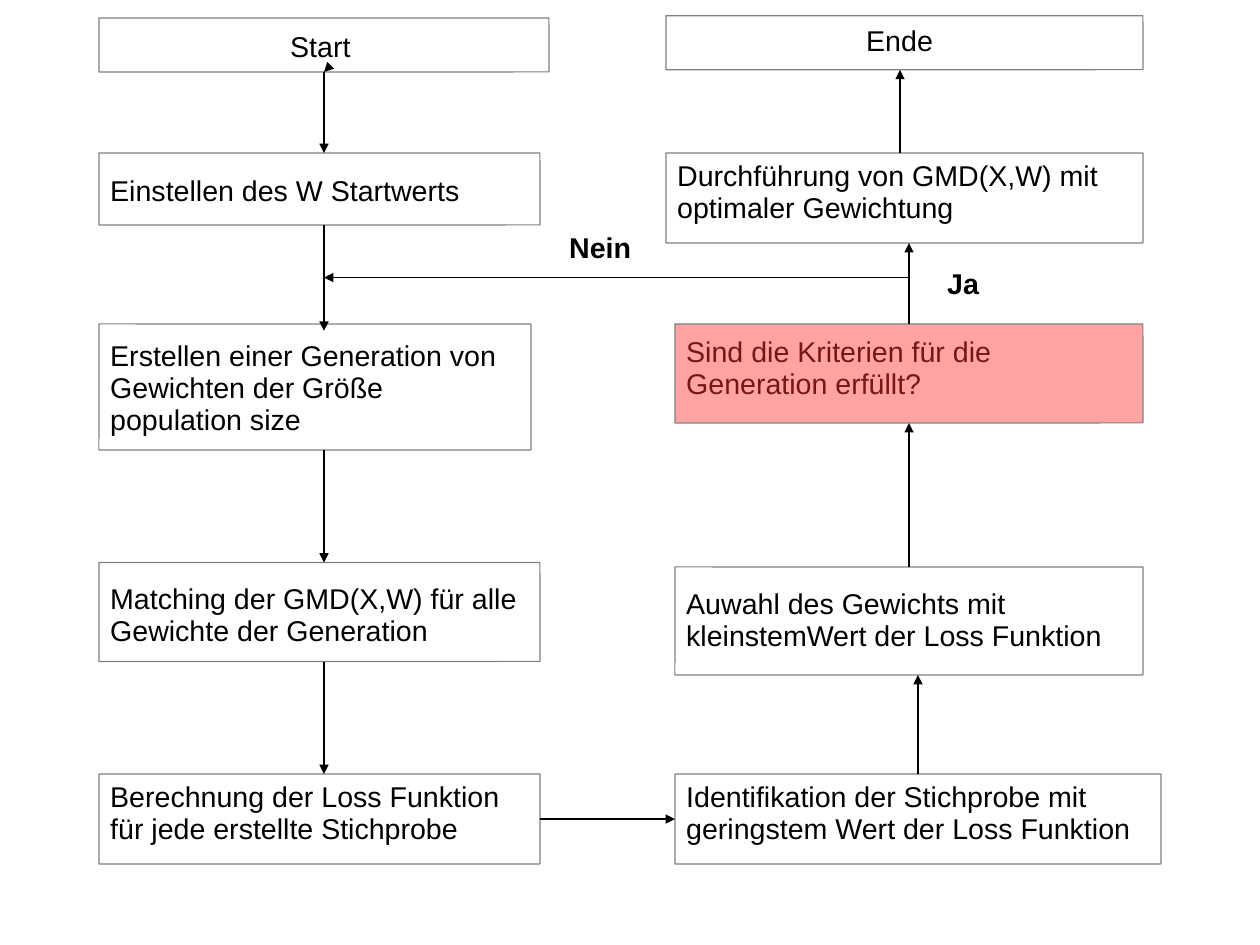
from dataclasses import dataclass

from lxml import etree
from pptx import Presentation
from pptx import util as u
from pptx.dml.color import RGBColor
from pptx.enum import shapes
from pptx.oxml.ns import qn


@dataclass(frozen=True)
class Theme:
    font: str = "Arial"
    size: float = 18
    line_width: float = 0.75
    line_spacing: float = 0.93
    ink: str = "000000"
    border: str = "808080"
    decision: str = "FF3333"
    decision_alpha: int = 45000


class FlowChart:
    """Draws on one slide; all lengths are in centimetres."""

    def __init__(self, s, theme):
        self.s, self.theme = s, theme

    def text(self, words, x, y, w, h, bold=False):
        sp = self.s.shapes.add_textbox(u.Cm(x), u.Cm(y), u.Cm(w), u.Cm(h))
        tf = sp.text_frame
        tf.word_wrap = True
        tf.margin_left = tf.margin_right = u.Cm(0.25)
        tf.margin_top, tf.margin_bottom = u.Cm(0.18), u.Cm(0.13)
        p = tf.paragraphs[0]
        p.text = words
        p.line_spacing = self.theme.line_spacing
        p.font.name, p.font.size = self.theme.font, u.Pt(self.theme.size)
        p.font.bold = bold
        p.font.color.rgb = RGBColor.from_string(self.theme.ink)

    def box(self, x, y, w, h, decision=False):
        sp = self.s.shapes.add_shape(shapes.MSO_SHAPE.ROUNDED_RECTANGLE,
                                     u.Cm(x), u.Cm(y), u.Cm(w), u.Cm(h))
        sp.adjustments[0] = 0.002
        sp.shadow.inherit = False
        sp.line.color.rgb = RGBColor.from_string(self.theme.border)
        sp.line.width = u.Pt(self.theme.line_width)
        if not decision:
            sp.fill.background()
            return
        sp.fill.solid()
        sp.fill.fore_color.rgb = RGBColor.from_string(self.theme.decision)
        color = sp.fill._xPr.find(".//" + qn("a:srgbClr"))
        etree.SubElement(color, qn("a:alpha"), val=str(self.theme.decision_alpha))

    def arrow(self, x1, y1, x2, y2, kind=shapes.MSO_CONNECTOR.STRAIGHT):
        c = self.s.shapes.add_connector(kind, u.Cm(x1), u.Cm(y1), u.Cm(x2), u.Cm(y2))
        c.line.color.rgb = RGBColor.from_string(self.theme.ink)
        c.line.width = u.Pt(self.theme.line_width)
        etree.SubElement(c.line._get_or_add_ln(), qn("a:tailEnd"), type="triangle")
        etree.SubElement(c._element.spPr, qn("a:effectLst"))
        return c

    def up_then_left(self, x1, y1, x2, y2):
        # One-bend connector: a quarter turn swaps its width and height
        cx, cy = (x1 + x2) / 2, (y1 + y2) / 2
        w, h = y1 - y2, x1 - x2
        c = self.arrow(cx - w / 2, cy + h / 2, cx + w / 2, cy - h / 2,
                       shapes.MSO_CONNECTOR.ELBOW)
        c._element.spPr.find(qn("a:xfrm")).set("rot", str(270 * 60000))
        c._element.spPr.find(qn("a:prstGeom")).set("prst", "bentConnector2")


LEFT, RIGHT, END = 2.2, 15, 14.8

# Wording, text area, box
STEPS = [
    ("Start", (6.2, 0.53, 9.8, 1.68), (LEFT, 0.4, 10, 1.2)),
    ("Einstellen des W Startwerts", (LEFT, 3.73, 9.4, 1.68), (LEFT, 3.4, 9.8, 1.6)),
    ("Erstellen einer Generation von Gewichten der Größe population size",
     (LEFT, 7.4, 9.2, 2.6), (LEFT, 7.2, 9.6, 2.8)),
    ("Matching der GMD(X,W) für alle Gewichte der Generation",
     (LEFT, 12.8, 10.2, 3.1), (LEFT, 12.5, 9.8, 2.2)),
    ("Berechnung der Loss Funktion für jede erstellte Stichprobe",
     (LEFT, 17.2, 10, 1.68), (LEFT, 17.2, 9.8, 2)),
    ("Ende", (19, 0.4, 9, 1.58), (END, 0.35, 10.6, 1.2)),
    ("Durchführung von GMD(X,W) mit optimaler Gewichtung",
     (END, 3.4, 10, 1.68), (END, 3.4, 10.6, 2)),
    ("Sind die Kriterien für die Generation erfüllt?",
     (RIGHT, 7.32, 10.2, 1.68), (RIGHT, 7.2, 10.4, 2.2)),
    ("Auwahl des Gewichts mit kleinstemWert der Loss Funktion",
     (RIGHT, 12.92, 10.4, 1.68), (RIGHT, 12.6, 10.4, 2.4)),
    ("Identifikation der Stichprobe mit geringstem Wert der Loss Funktion",
     (RIGHT, 17.2, 10.8, 2.4), (RIGHT, 17.2, 10.8, 2)),
]
DECISION = "Sind die Kriterien für die Generation erfüllt?"

ARROWS = [
    (7.22, 1.58, 7.2, 1.6),
    (7.2, 1.6, 7.2, 3.4),
    (7.2, 5, 7.2, 7.35),
    (7.2, 10, 7.2, 12.5),
    (7.2, 14.7, 7.2, 17.2),
    (20, 3.4, 20, 1.55),
    (12, 18.2, 15, 18.2),
    (20.4, 17.2, 20.4, 15),
    (20.2, 12.6, 20.2, 9.4),
    (20.2, 7.2, 20.2, 5.4),
]


def main():
    prs = Presentation()
    prs.slide_width, prs.slide_height = u.Cm(28), u.Cm(21)
    chart = FlowChart(prs.slides.add_slide(prs.slide_layouts[6]), Theme())

    # Wording lies below the boxes, so the decision fill tints it
    for words, area, _ in STEPS:
        chart.text(words, *area)
    for words, _, frame in STEPS:
        chart.box(*frame, decision=words == DECISION)

    # Flow
    for ends in ARROWS:
        chart.arrow(*ends)
    chart.up_then_left(20.2, 7.2, 7.2, 6.17)

    # Branch labels
    chart.text("Ja", 20.8, 5.8, 3.4, 1, bold=True)
    chart.text("Nein", 12.4, 5, 2, 1, bold=True)

    prs.save("out.pptx")


if __name__ == "__main__":
    main()
